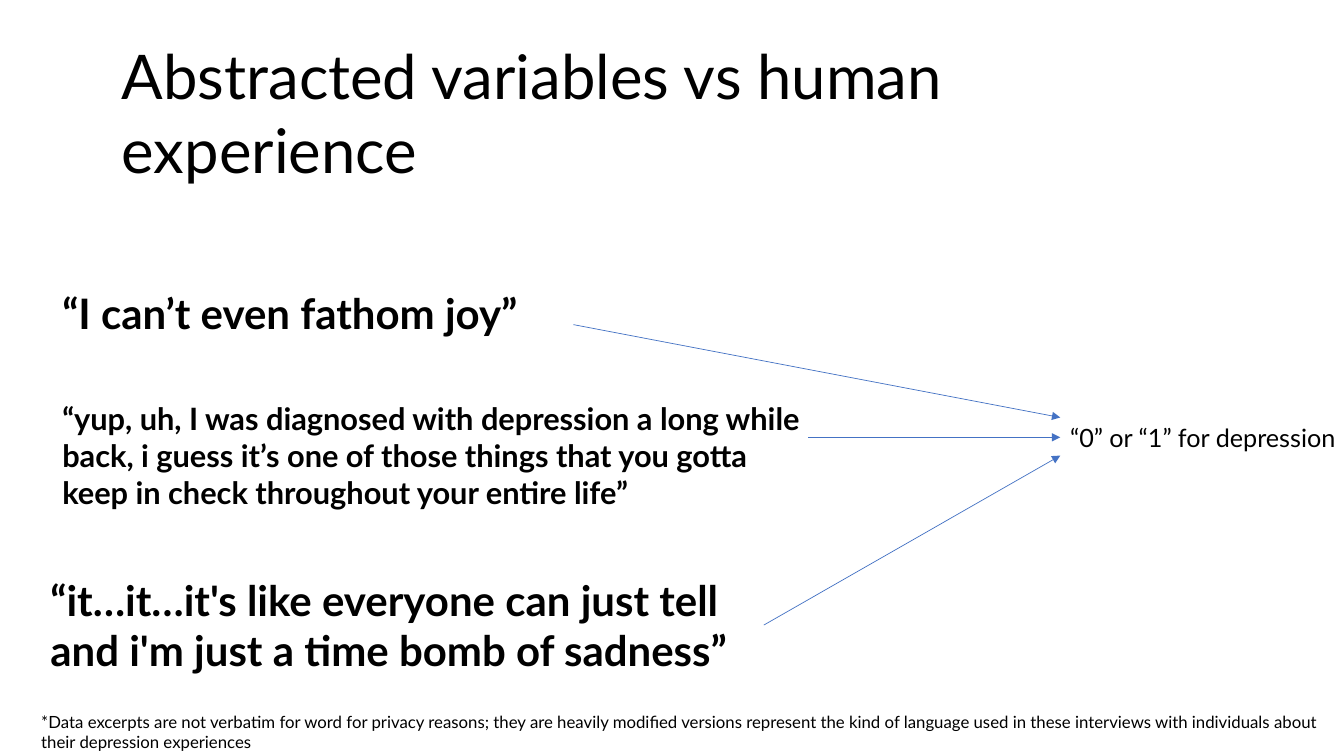
import pptx
import pptx.dml.color
import pptx.enum.shapes
import pptx.enum.text
import pptx.oxml.ns
import pptx.util
from lxml import etree

Cm = pptx.util.Cm

# Content: text, (left, top, width, height) in cm, format
TITLE = ("Abstracted variables vs human experience", (2.82, 0.84, 27.31, 2.13), dict(size=44))
QUOTES = [
    ("“I can’t even fathom joy”", (1.32, 7.11, 16.94, 1.55), dict(size=30, bold=True)),
    ("“yup, uh, I was diagnosed with depression a long while back, i guess it’s one of "
     "those things that you gotta keep in check throughout your entire life”",
     (1.32, 9.96, 19.41, 3.07), dict(size=22, bold=True)),
    ("“it…it…it's like everyone can just tell and i'm just a time bomb of sadness”",
     (1.02, 14.35, 18.26, 2.82), dict(size=30, bold=True)),
]
VARIABLE = ("“0” or “1” for depression", (26.72, 10.52, 17.42, 1.02), dict(size=18))
FOOTNOTE = (
    "*Data excerpts are not verbatim for word for privacy reasons; they are heavily modified "
    "versions represent the kind of language used in these interviews with individuals about "
    "their depression experiences",
    (-0.48, 17.81, 34.82, 1.27), dict(size=12, indent=1.27))

# Arrows: start point and end height; all end at the variable's left edge
ARROWS = [((14.45, 8.18), 10.52), ((20.37, 11.02), 11.02), ((19.25, 15.75), 11.48)]
ARROW_COLOR = "4472C4"


def color(hex_text):
    return pptx.dml.color.RGBColor.from_string(hex_text)


def add_text(slide, text, box, size, bold=False, indent=0, ink="000000"):
    shape = slide.shapes.add_textbox(*map(Cm, box))
    frame = shape.text_frame
    frame.word_wrap = True
    frame.auto_size = pptx.enum.text.MSO_AUTO_SIZE.SHAPE_TO_FIT_TEXT
    paragraph = frame.paragraphs[0]
    if indent:
        paragraph.level = 1
        properties = paragraph._p.get_or_add_pPr()
        properties.set("marL", str(Cm(indent)))
        properties.set("indent", "0")
    run = paragraph.add_run()
    run.text = text
    run.font.name = "Lato"
    run.font.size = pptx.util.Pt(size)
    run.font.bold = bold
    run.font.color.rgb = color(ink)


def add_arrow(slide, start, end):
    connector = slide.shapes.add_connector(
        pptx.enum.shapes.MSO_CONNECTOR.STRAIGHT, *map(Cm, start + end))
    connector.line.color.rgb = color(ARROW_COLOR)
    connector.line.width = pptx.util.Pt(0.5)
    qn = pptx.oxml.ns.qn
    etree.SubElement(connector.line._get_or_add_ln(), qn("a:tailEnd"), type="triangle")
    etree.SubElement(connector._element.spPr, qn("a:effectLst"))


presentation = pptx.Presentation()
presentation.slide_width = Cm(33.87)
presentation.slide_height = Cm(19.05)
slide = presentation.slides.add_slide(presentation.slide_layouts[6])

# Text
for text, box, style in [*QUOTES, TITLE, FOOTNOTE, VARIABLE]:
    add_text(slide, text, box, **style)

# Arrows from each quote to the variable
variable_left = VARIABLE[1][0]
for start, end_height in ARROWS:
    add_arrow(slide, start, (variable_left, end_height))

presentation.save("out.pptx")
